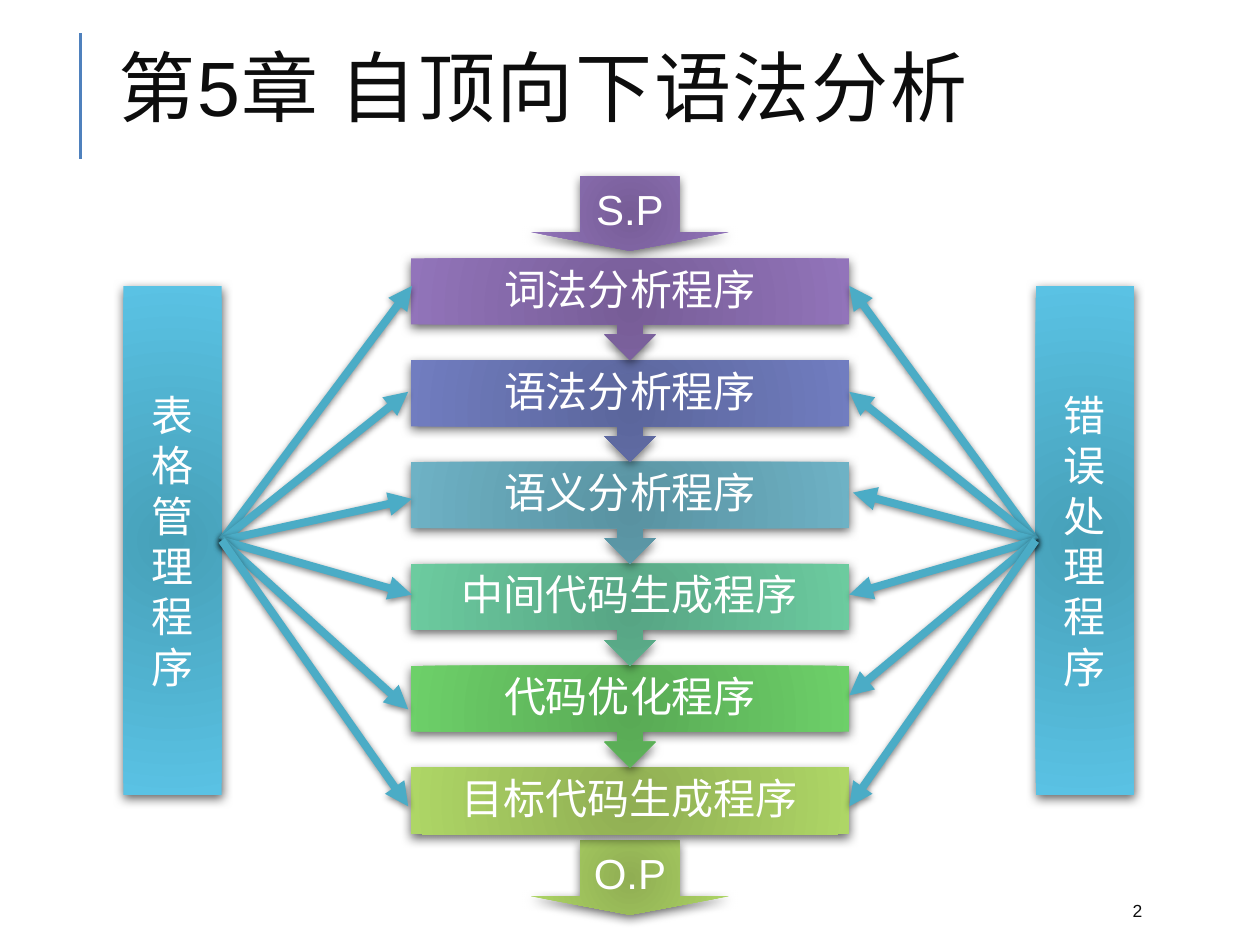
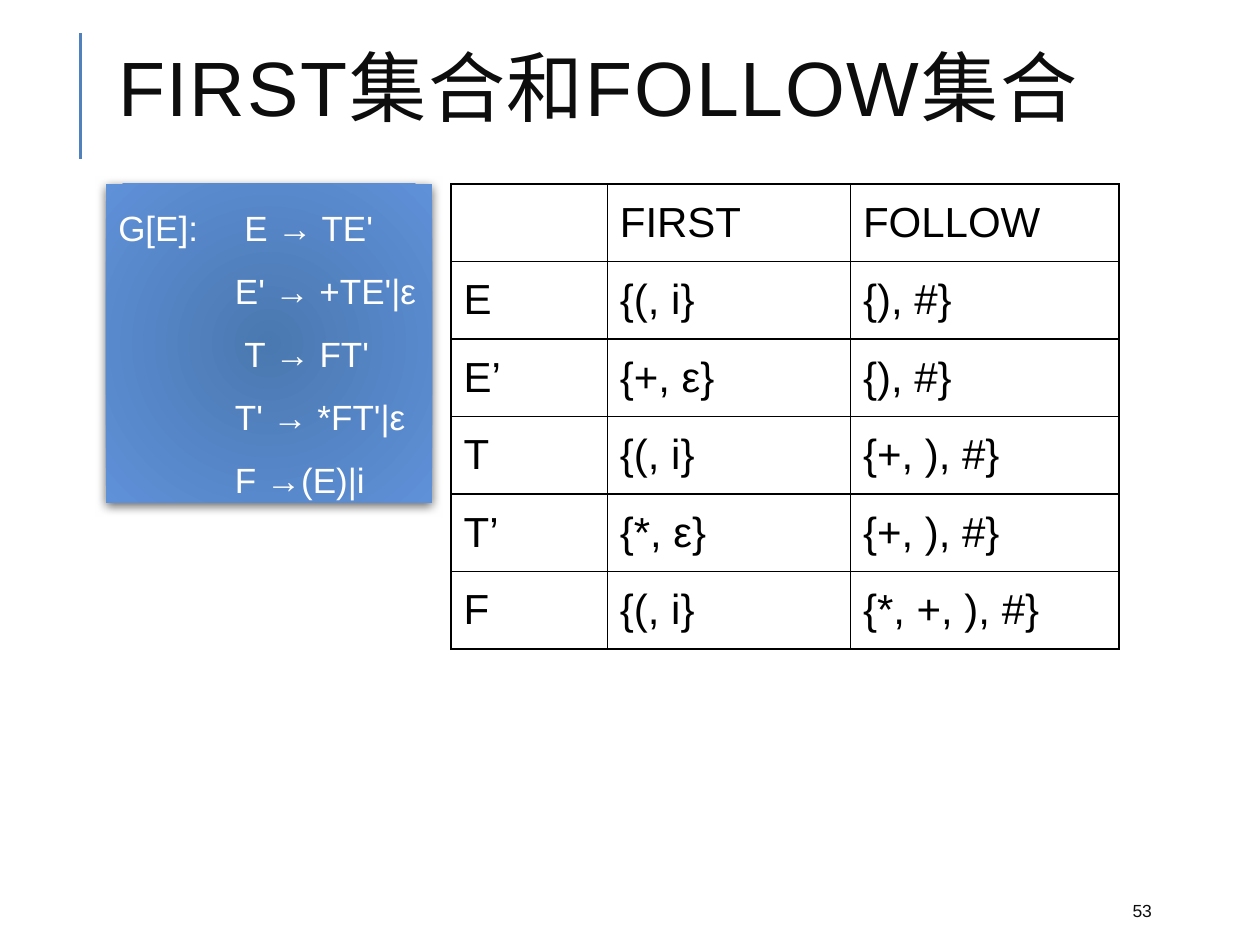
"""Build two slides on top-down parsing: the compiler pipeline and the FIRST and FOLLOW sets."""
import dataclasses
import typing

import pptx
import pptx.dml.color
import pptx.enum.shapes
import pptx.enum.text
import pptx.oxml
import pptx.oxml.ns
import pptx.util

Pt = pptx.util.Pt
Shapes = pptx.enum.shapes.MSO_SHAPE
Align = pptx.enum.text.PP_ALIGN


class Box(typing.NamedTuple):
    left: float
    top: float
    width: float
    height: float

    def lengths(self) -> list[pptx.util.Length]:
        return [Pt(value) for value in self]


class Gradient(typing.NamedTuple):
    centre: str
    edge: str


class Shadow(typing.NamedTuple):
    opacity: int
    blur: float
    distance: float


class Stage(typing.NamedTuple):
    label: str
    gradient: Gradient


class Sidebar(typing.NamedTuple):
    label: str
    left: float
    hub: float
    targets: list[tuple[float, float]]


class Rule(typing.NamedTuple):
    text: str
    indent: float


@dataclasses.dataclass(frozen=True)
class Theme:
    latin: str = "Arial"
    chinese: str = "Noto Sans CJK SC"
    ink: str = "0D0D0D"
    black: str = "000000"
    white: str = "FFFFFF"
    accent: str = "4F81BD"
    arrow: str = "4BACC6"
    purple: Gradient = Gradient("775D97", "9274BA")
    indigo: Gradient = Gradient("5B669C", "717DC0")
    teal: Gradient = Gradient("5992A1", "6EB2C5")
    mint: Gradient = Gradient("57A584", "6CCB9F")
    green: Gradient = Gradient("59AA55", "6DD069")
    lime: Gradient = Gradient("90AE53", "AED666")
    cyan: Gradient = Gradient("46A0B8", "5AC2E4")
    blue: Gradient = Gradient("4A78B0", "5F91D9")
    shape_shadow: Shadow = Shadow(60, 6, 2)
    arrow_shadow: Shadow = Shadow(50, 4, 1)
    title_size: float = 44
    body_size: float = 24
    grammar_size: float = 20
    number_size: float = 10


THEME = Theme()
STAGES = [
    Stage("词法分析程序", THEME.purple),
    Stage("语法分析程序", THEME.indigo),
    Stage("语义分析程序", THEME.teal),
    Stage("中间代码生成程序", THEME.mint),
    Stage("代码优化程序", THEME.green),
    Stage("目标代码生成程序", THEME.lime),
]
STAGE_LEFT, STAGE_TOP, STAGE_WIDTH, STAGE_HEIGHT = 234.72, 147.6, 250.56, 38.16
STAGE_PITCH = 58.18
SIDEBAR_TOP, SIDEBAR_WIDTH, SIDEBAR_HEIGHT, HUB_TOP = 163.44, 56.16, 290.88, 308.88
SIDEBARS = [
    Sidebar("表格管理程序", 70.56, 126.72, [
        (235.4, 163.4), (233.3, 223.9), (235.4, 285.1),
        (235.4, 339.8), (233.3, 405.4), (233.3, 460.8)]),
    Sidebar("错误处理程序", 591.84, 591.84, [
        (485.3, 163.4), (485.3, 223.9), (487.4, 281.5),
        (485.3, 339.8), (485.3, 397.4), (485.3, 460.8)]),
]
GRAMMAR = [
    Rule("G[E]:\tE → TE'", 0),
    Rule("E' → +TE'|ε", 66.7),
    Rule("T → FT'", 72),
    Rule("T' → *FT'|ε", 66.7),
    Rule("F →(E)|i", 66.7),
]
SETS = [
    ("", "FIRST", "FOLLOW"),
    ("E", "{(, i}", "{), #}"),
    ("E’", "{+, ε}", "{), #}"),
    ("T", "{(, i}", "{+, ), #}"),
    ("T’", "{*, ε}", "{+, ), #}"),
    ("F", "{(, i}", "{*, +, ), #}"),
]
COLUMN_WIDTHS = [89.28, 138.96, 153.36]
ROW_HEIGHT = 44.28


def rgb(value: str) -> pptx.dml.color.RGBColor:
    return pptx.dml.color.RGBColor.from_string(value)


def element(markup: str) -> typing.Any:
    """Parse a drawing element, declaring its namespace on the outer tag."""
    tag, rest = markup[1:].split(maxsplit=1)
    return pptx.oxml.parse_xml(f"<{tag} {pptx.oxml.ns.nsdecls('a')} {rest}")


def write(paragraph: typing.Any, text: str, size: float, color: str,
          font: str = THEME.latin, spacing: float = 0) -> None:
    """Add one formatted run with Latin and Chinese fonts."""
    run = paragraph.add_run()
    run.text = text
    run.font.size = Pt(size)
    run.font.name = font
    run.font.color.rgb = rgb(color)
    properties = run._r.get_or_add_rPr()
    properties.find(pptx.oxml.ns.qn("a:latin")).addnext(
        element(f'<a:ea typeface="{THEME.chinese}"/>'))
    if spacing:
        properties.set("spc", str(int(spacing * 100)))


def prepare(shape: typing.Any, wrap: bool = True) -> typing.Any:
    """Centre the text frame vertically and return it."""
    frame = shape.text_frame
    frame.word_wrap = wrap
    frame.vertical_anchor = pptx.enum.text.MSO_ANCHOR.MIDDLE
    return frame


def write_centred(frame: typing.Any, lines: typing.Sequence[str], font: str = THEME.latin) -> None:
    """Write centred white lines, one per paragraph."""
    for index, line in enumerate(lines):
        paragraph = frame.add_paragraph() if index else frame.paragraphs[0]
        paragraph.alignment = Align.CENTER
        write(paragraph, line, THEME.body_size, THEME.white, font)


def cast_shadow(shape: typing.Any, shadow: Shadow) -> None:
    """Give a shape a soft shadow that falls straight down."""
    shape._element.spPr.append(element(
        f'<a:effectLst ><a:outerShdw blurRad="{Pt(shadow.blur)}" dist="{Pt(shadow.distance)}" '
        f'dir="5400000" algn="ctr" rotWithShape="0"><a:srgbClr val="{THEME.black}">'
        f'<a:alpha val="{shadow.opacity * 1000}"/></a:srgbClr></a:outerShdw></a:effectLst>'))


def draw_block(slide: typing.Any, kind: typing.Any, box: Box, gradient: Gradient) -> typing.Any:
    """Draw a borderless shape with a radial gradient and a shadow."""
    shape = slide.shapes.add_shape(kind, *box.lengths())
    shape.line.fill.background()
    stops = "".join(f'<a:gs pos="{position}"><a:srgbClr val="{color}"/></a:gs>'
                    for position, color in zip((0, 100000), gradient))
    shape._element.spPr.insert(2, element(
        f'<a:gradFill rotWithShape="1"><a:gsLst>{stops}</a:gsLst><a:path path="circle">'
        '<a:fillToRect l="100000" t="100000" r="100000" b="100000"/></a:path></a:gradFill>'))
    cast_shadow(shape, THEME.shape_shadow)
    return shape


def draw_line(slide: typing.Any, start: tuple[float, float], end: tuple[float, float],
              color: str, width: float) -> typing.Any:
    """Draw a straight line."""
    line = slide.shapes.add_connector(
        pptx.enum.shapes.MSO_CONNECTOR.STRAIGHT, *[Pt(value) for value in start + end])
    line.line.color.rgb = rgb(color)
    line.line.width = Pt(width)
    return line


def draw_arrow(slide: typing.Any, start: tuple[float, float], end: tuple[float, float]) -> None:
    """Draw a thick shadowed arrow."""
    arrow = draw_line(slide, start, end, THEME.arrow, 4.5)
    arrow.line._get_or_add_ln().append(element('<a:tailEnd type="triangle"/>'))
    cast_shadow(arrow, THEME.arrow_shadow)


def add_slide(presentation: typing.Any, title: str, number: int) -> typing.Any:
    """Add a slide with the shared title rule, title and slide number."""
    slide = presentation.slides.add_slide(presentation.slide_layouts[6])
    rule = draw_line(slide, (46.08, 90.72), (46.08, 18.72), THEME.accent, 1.5)
    rule._element.spPr.append(element("<a:effectLst />"))
    heading = slide.shapes.add_textbox(*Box(60.48, 18.72, 612, 70.56).lengths())
    paragraph = prepare(heading).paragraphs[0]
    paragraph.line_spacing = 0.8
    write(paragraph, title, THEME.title_size, THEME.ink, spacing=1)
    footer = slide.shapes.add_textbox(*Box(640.08, 509.76, 57.6, 21.6).lengths())
    write(prepare(footer).paragraphs[0], str(number), THEME.number_size, THEME.ink)
    return slide


def draw_stage(slide: typing.Any, stage: Stage, top: float, last: bool) -> None:
    """Draw one pipeline stage; all but the last point to the next."""
    kind = Shapes.RECTANGLE if last else Shapes.UP_ARROW_CALLOUT
    height = STAGE_HEIGHT if last else STAGE_PITCH
    block = draw_block(slide, kind, Box(STAGE_LEFT, top, STAGE_WIDTH, height), stage.gradient)
    block.rotation = 0 if last else 180
    label = slide.shapes.add_textbox(*Box(STAGE_LEFT, top, STAGE_WIDTH, STAGE_HEIGHT).lengths())
    frame = prepare(label)
    frame.margin_left = frame.margin_right = frame.margin_top = frame.margin_bottom = Pt(13.68)
    write_centred(frame, [stage.label])
    frame.paragraphs[0].line_spacing = 0.9


def draw_sidebar(slide: typing.Any, sidebar: Sidebar) -> None:
    """Draw a vertical support program and its arrows to the stages."""
    box = Box(sidebar.left, SIDEBAR_TOP, SIDEBAR_WIDTH, SIDEBAR_HEIGHT)
    block = draw_block(slide, Shapes.RECTANGLE, box, THEME.cyan)
    write_centred(prepare(block, wrap=False), sidebar.label, THEME.chinese)
    for target in sidebar.targets:
        draw_arrow(slide, (sidebar.hub, HUB_TOP), target)


def build_pipeline(presentation: typing.Any) -> None:
    """Build the slide that shows the compiler pipeline."""
    slide = add_slide(presentation, "第5章 自顶向下语法分析", 2)
    for label, top, gradient in (("S.P", 100.8, THEME.purple), ("O.P", 480.24, THEME.lime)):
        arrow = draw_block(slide, Shapes.DOWN_ARROW, Box(303.48, top, 113.04, 42.48), gradient)
        arrow.adjustments[0], arrow.adjustments[1] = 0.5, 0.25
        write_centred(prepare(arrow, wrap=False), [label])
    final = len(STAGES) - 1
    for index, stage in reversed(list(enumerate(STAGES))):
        draw_stage(slide, stage, STAGE_TOP + index * STAGE_PITCH, index == final)
    for sidebar in SIDEBARS:
        draw_sidebar(slide, sidebar)


def draw_grammar(slide: typing.Any) -> None:
    """Draw the box of grammar rules."""
    block = draw_block(slide, Shapes.RECTANGLE, Box(60.48, 105.12, 186.48, 182.16), THEME.blue)
    frame = prepare(block)
    for index, rule in enumerate(GRAMMAR):
        paragraph = frame.add_paragraph() if index else frame.paragraphs[0]
        paragraph.alignment = Align.JUSTIFY
        paragraph.line_spacing = 1.5
        paragraph._p.get_or_add_pPr().set("marL", str(Pt(rule.indent)))
        write(paragraph, rule.text, THEME.grammar_size, THEME.white)


def fill_cell(cell: typing.Any, text: str) -> None:
    """Format a white cell with black borders and write its text."""
    cell.fill.solid()
    cell.fill.fore_color.rgb = rgb(THEME.white)
    cell.vertical_anchor = pptx.enum.text.MSO_ANCHOR.MIDDLE
    properties = cell._tc.get_or_add_tcPr()
    for position, side in enumerate("LRTB"):
        properties.insert(position, element(
            f'<a:ln{side} w="{Pt(1)}"><a:solidFill><a:srgbClr val="{THEME.black}"/>'
            f'</a:solidFill></a:ln{side}>'))
    if text:
        write(cell.text_frame.paragraphs[0], text, THEME.body_size, THEME.black)


def draw_sets(slide: typing.Any) -> None:
    """Draw the table of FIRST and FOLLOW sets."""
    box = Box(257.76, 105.12, sum(COLUMN_WIDTHS), ROW_HEIGHT * len(SETS))
    table = slide.shapes.add_table(len(SETS), len(COLUMN_WIDTHS), *box.lengths()).table
    table.first_row = table.horz_banding = False
    for column, width in zip(table.columns, COLUMN_WIDTHS):
        column.width = Pt(width)
    for row, texts in zip(table.rows, SETS):
        row.height = Pt(ROW_HEIGHT)
        for cell, text in zip(row.cells, texts):
            fill_cell(cell, text)


def main() -> None:
    """Build and save the presentation."""
    presentation = pptx.Presentation()
    presentation.slide_width, presentation.slide_height = Pt(720), Pt(540)
    build_pipeline(presentation)
    slide = add_slide(presentation, "FIRST集合和FOLLOW集合", 53)
    draw_sets(slide)
    draw_grammar(slide)
    presentation.save("out.pptx")


main()
